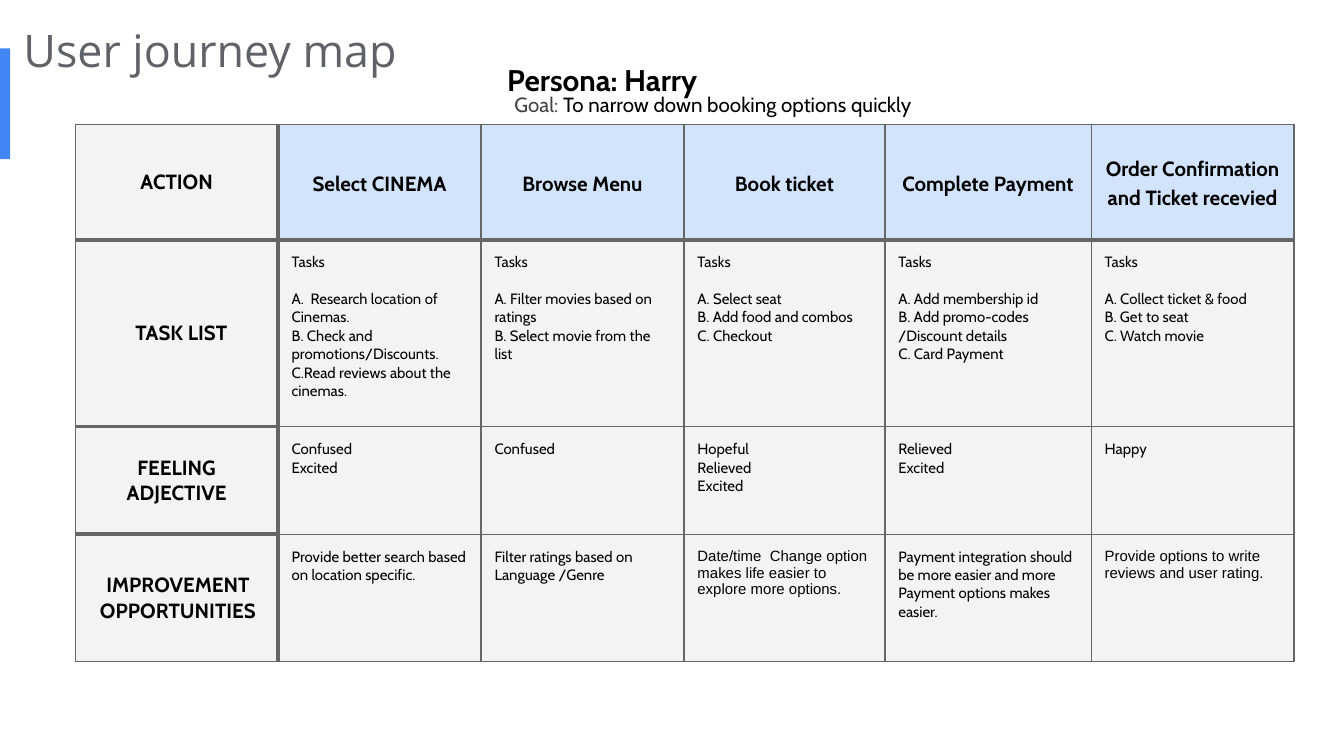
from pptx import Presentation
from pptx.dml.color import RGBColor
from pptx.enum.shapes import MSO_SHAPE
from pptx.enum.text import MSO_ANCHOR, PP_ALIGN
from pptx.oxml import parse_xml
from pptx.oxml.ns import nsdecls
from pptx.util import Pt

PX = 4572
PAD = 20
COLS = [302, 302, 302, 299, 307, 302]
ROWS = [172, 278, 160, 190]
STEPS = ["Select CINEMA", "Browse Menu", "Book ticket", "Complete Payment",
         "Order Confirmation and Ticket recevied"]
TASKS = [
    ["A.  Research location of Cinemas.", "B. Check and promotions/Discounts.",
     "C.Read reviews about the cinemas."],
    ["A. Filter movies based on ratings", "B. Select movie from the list"],
    ["A. Select seat", "B. Add food and combos", "C. Checkout"],
    ["A. Add membership id", "B. Add promo-codes /Discount details", "C. Card Payment"],
    ["A. Collect ticket & food", "B. Get to seat", "C. Watch movie"],
]
MOODS = [["Confused", "Excited"], ["Confused"], ["Hopeful", "Relieved", "Excited"],
         ["Relieved", "Excited"], ["Happy"]]
IDEAS = [
    "Provide better search based on location specific.",
    "Filter ratings based on Language /Genre",
    "Date/time  Change option makes life easier to explore more options.",
    "Payment integration should be more easier and more Payment options makes easier.",
    "Provide options to write reviews and user rating.",
]
GRID = [
    ["ACTION"] + STEPS,
    ["TASK LIST"] + [["Tasks"] + tasks for tasks in TASKS],
    ["FEELING ADJECTIVE"] + MOODS,
    ["IMPROVEMENT OPPORTUNITIES"] + IDEAS,
]


def color(code):
    """Return the colour for a hex string."""
    return RGBColor.from_string(code)


class Deck:
    """Holds the style and the current slide."""

    font, ink, line = "Cabin", "000000", "666666"
    pale, blue, accent = "F3F3F3", "D2E3FC", "4285F4"

    def __init__(self, width, height):
        """Start a deck with one blank slide."""
        self.deck = Presentation()
        self.deck.slide_width, self.deck.slide_height = width * PX, height * PX
        self.slide = self.deck.slides.add_slide(self.deck.slide_layouts[6])

    def bar(self, *box):
        """Add a plain accent bar."""
        shape = self.slide.shapes.add_shape(MSO_SHAPE.RECTANGLE, *[n * PX for n in box])
        shape.shadow.inherit = False
        shape.fill.solid()
        shape.fill.fore_color.rgb = color(self.accent)
        shape.line.fill.background()

    def style(self, par, size, bold=False, font=None):
        """Set the font of a paragraph."""
        par.font.name, par.font.size, par.font.bold = font or self.font, Pt(size), bold
        par.font.color.rgb = color(self.ink)

    def text(self, box, runs, size, bold=False, font=None, left=PAD, after=0):
        """Add a one-paragraph text box of (words, colour) runs."""
        frame = self.slide.shapes.add_textbox(*[n * PX for n in box]).text_frame
        frame.word_wrap = True
        frame.margin_left = left * PX
        frame.margin_top = frame.margin_right = frame.margin_bottom = PAD * PX
        par = frame.paragraphs[0]
        par.space_after = Pt(after)
        self.style(par, size, bold, font)
        for words, code in runs:
            run = par.add_run()
            run.text = words
            run.font.color.rgb = color(code)

    def edges(self, cell, row, col):
        """Draw cell borders, heavy around the heading row and column."""
        side, last = col == 0, len(ROWS) - 1
        heavy = {"L": col == 1, "R": side,
                 "T": row == 1 or side and row > 0,
                 "B": row == 0 or side and row < last}
        props = cell._tc.get_or_add_tcPr()
        for name, thick in heavy.items():
            width = Pt(2.25 if thick else 0.75)
            props.append(parse_xml(
                f'<a:ln{name} {nsdecls("a")} w="{width}"><a:solidFill>'
                f'<a:srgbClr val="{self.line}"/></a:solidFill></a:ln{name}>'))

    def cell(self, cell, words, row, col):
        """Fill and style one table cell."""
        head = row == 0 or col == 0
        self.edges(cell, row, col)
        cell.fill.solid()
        cell.fill.fore_color.rgb = color(self.blue if row == 0 and col else self.pale)
        cell.margin_left = (24 if (row, col) == (3, 0) else PAD) * PX
        cell.margin_top = cell.margin_right = cell.margin_bottom = PAD * PX
        cell.vertical_anchor = MSO_ANCHOR.MIDDLE if head else MSO_ANCHOR.TOP
        cell.text = words if isinstance(words, str) else "\n".join(words)
        font = "Arial" if row == 3 and col in (3, 5) else self.font
        for par in cell.text_frame.paragraphs:
            par.alignment = PP_ALIGN.CENTER if head else PP_ALIGN.LEFT
            if row == 0 and col:
                par.line_spacing = 1.15
            if par.text == "Tasks":
                par.space_after = Pt(9.8)
            if (row, col) == (1, 0):
                props = par._p.get_or_add_pPr()
                props.set("marL", str(38 * PX))
                props.set("indent", str(-24 * PX))
            self.style(par, 11 if head else 8, head, font)

    def table(self, left, top, grid):
        """Add the journey table."""
        table = self.slide.shapes.add_table(
            len(ROWS), len(COLS), left * PX, top * PX, sum(COLS) * PX, sum(ROWS) * PX).table
        table.first_row = table.horz_banding = False
        for part, width in zip(table.columns, COLS):
            part.width = width * PX
        for part, height in zip(table.rows, ROWS):
            part.height = height * PX
        for row, line in enumerate(grid):
            for col, words in enumerate(line):
                self.cell(table.cell(row, col), words, row, col)


def main():
    """Build the user journey slide."""
    deck = Deck(2000, 1125)
    deck.bar(0, 72, 15, 165)
    deck.text((735, 72, 390, 88), [("Persona: Harry", deck.ink)], 16, bold=True)
    deck.text((746, 119, 760, 60),
              [("Goal: ", "434343"), ("To narrow down booking options quickly", deck.ink)],
              11, after=3)
    deck.table(112, 185, GRID)
    deck.text((35, 14, 640, 122), [("User journey map", "5F6368")], 24,
              font="Open Sans", left=0)
    deck.deck.save("out.pptx")


if __name__ == "__main__":
    main()
